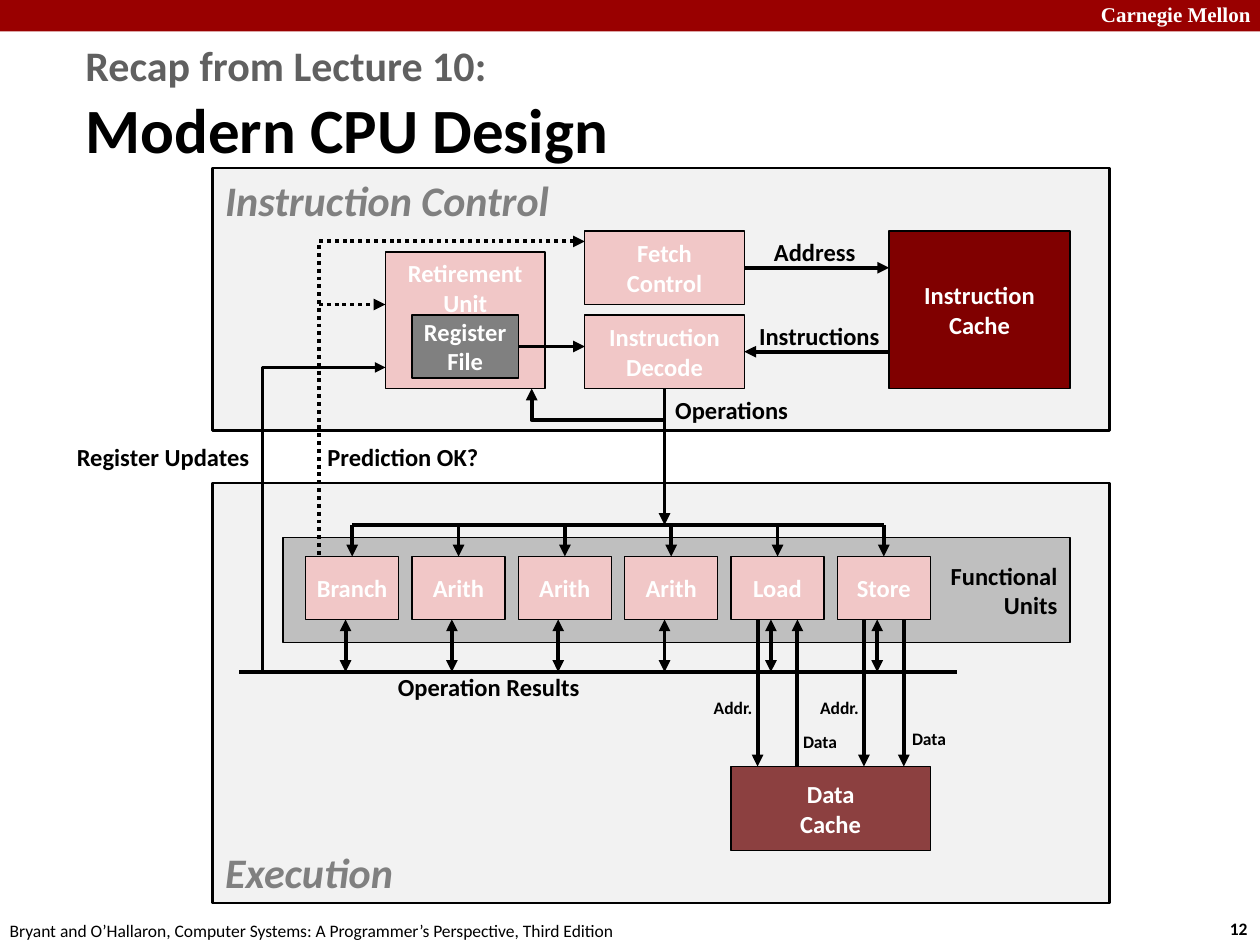
from lxml.etree import SubElement
from pptx import Presentation
from pptx.dml.color import RGBColor
from pptx.enum.dml import MSO_LINE as Dash
from pptx.enum.shapes import MSO_CONNECTOR as Conn, MSO_SHAPE as Kind
from pptx.enum.text import MSO_ANCHOR as Anchor, MSO_AUTO_SIZE as Auto, PP_ALIGN as Align
from pptx.oxml.ns import qn
from pptx.util import Inches, Pt

COL, ROW = 10 / 94.8, 7.5 / 90
PINK, PALE, BLACK, WHITE, GREY = "F1C7C7", "F2F2F2", "000000", "FFFFFF", "808080"
TOP, LEFT, BOTTOM, RIGHT = range(4)
LEAD = dict(align=Align.LEFT, color=GREY, size=24, italic=True, edge=1.5)


def hue(code):
    """Turn a hex string into a colour."""
    return RGBColor.from_string(code)


def spot(x, y):
    """Turn grid columns and rows into lengths."""
    return Inches(x * COL), Inches(y * ROW)


def style(run, color, **form):
    """Set the font of a run from format values."""
    form["size"] = Pt(form["size"])
    for key, value in form.items():
        setattr(run.font, key, value)
    run.font.color.rgb = hue(color)


def write(shape, text, align=Align.CENTER, anchor=Anchor.MIDDLE, wrap=False,
          color=WHITE, size=14, name="Calibri", bold=True, italic=False):
    """Fill a shape with one paragraph for each line of text."""
    frame = shape.text_frame
    for key, value in dict(word_wrap=wrap, vertical_anchor=anchor).items():
        setattr(frame, key, value)
    for i, line in enumerate(text.split("\n")):
        para = frame.paragraphs[0] if i == 0 else frame.add_paragraph()
        para.alignment = align
        run = para.add_run()
        run.text = line
        style(run, color, size=size, name=name, bold=bold, italic=italic)
    return frame


def box(slide, x, y, w, h, fill, text="", edge=0.75, **form):
    """Draw a filled rectangle with text."""
    shape = slide.shapes.add_shape(Kind.RECTANGLE, *spot(x, y), *spot(w, h))
    shape.shadow.inherit = False
    shape.fill.solid()
    shape.fill.fore_color.rgb = hue(fill)
    if edge:
        shape.line.color.rgb = hue(BLACK)
        shape.line.width = Pt(edge)
    else:
        shape.line.fill.background()
    if text:
        write(shape, text, **form)
    return shape


def label(slide, x, y, w, text, h=4, fit=True, **form):
    """Place a text box with no outline."""
    shape = slide.shapes.add_textbox(*spot(x, y), *spot(w, h))
    form = dict(color=BLACK, anchor=Anchor.TOP) | form
    frame = write(shape, text, **form)
    if fit:
        frame.auto_size = Auto.SHAPE_TO_FIT_TEXT
    return frame


def ink(shape, ends, width, dots):
    """Set the line, its arrowheads and its dots."""
    line = shape.line
    line.color.rgb = hue(BLACK)
    line.width = Pt(width)
    if dots:
        line.dash_style = Dash.ROUND_DOT
    for end in ends:
        SubElement(shape._element.spPr.find(qn("a:ln")), qn(f"a:{end}End"), type="triangle")


def link(slide, x1, y1, x2, y2, ends=("tail",), dots=False, start=None, stop=None):
    """Draw a straight line, joined to boxes where given."""
    wire = slide.shapes.add_connector(Conn.STRAIGHT, *spot(x1, y1), *spot(x2, y2))
    if start:
        wire.begin_connect(*start)
    if stop:
        wire.end_connect(*stop)
    ink(wire, ends, 2.25, dots)
    SubElement(wire._element.spPr, qn("a:effectLst"))


def bend(slide, points, end, width=2.25, dots=False):
    """Draw an open path through grid points."""
    first, *rest = [spot(*point) for point in points]
    pen = slide.shapes.build_freeform(*first)
    pen.add_line_segments(rest, close=False)
    shape = pen.convert_to_shape()
    shape.shadow.inherit = False
    shape.fill.background()
    ink(shape, (end,), width, dots)


def frame_page(slide):
    """Add the banner, title and footer."""
    box(slide, 0, 0, 94.8, 3, "990000", edge=0)
    label(slide, 81.9, -0.4, 13.6, "Carnegie Mellon", h=3.6, wrap=True,
          align=Align.LEFT, color=WHITE, size=12, name="Times New Roman")
    label(slide, 91.6, 86.8, 3.5, "12", h=3.2, align=Align.LEFT, size=10)
    label(slide, -0.2, 87, 48.2, "Bryant and O’Hallaron, Computer Systems: "
          "A Programmer’s Perspective, Third Edition", h=3.2,
          align=Align.LEFT, size=10, bold=False)
    title = label(slide, 5.5, 6, 87.7, "Recap from Lecture 10:", h=7.6, fit=False, wrap=True,
                  align=Align.LEFT, anchor=Anchor.MIDDLE, color="606060", size=24)
    para = title.paragraphs[0]
    para.add_line_break()
    run = para.add_run()
    run.text = "Modern CPU Design"
    style(run, BLACK, size=36, name="Calibri", bold=True)


def draw_control(slide):
    """Draw the instruction control half and return the decoder."""
    box(slide, 16, 16, 67.5, 25, PALE, "Instruction Control", anchor=Anchor.TOP, **LEAD)
    box(slide, 66.9, 22, 13.6, 15, "800000", "Instruction\nCache")
    fetch = box(slide, 44, 22, 12, 7, PINK, "Fetch\nControl")
    decode = box(slide, 44, 30, 12, 7, PINK, "Instruction\nDecode")
    box(slide, 29, 24, 12, 13, PINK, "Retirement\nUnit", anchor=Anchor.TOP)
    file = box(slide, 31, 30, 8, 6, GREY, "Register\nFile")
    link(slide, 56, 25.5, 66.9, 25.5, start=(fetch, RIGHT))
    link(slide, 66.9, 33.5, 56, 33.5, stop=(decode, RIGHT))
    link(slide, 39, 33, 44, 33, start=(file, RIGHT))
    label(slide, 57.2, 22, 8.2, "Address")
    label(slide, 56.1, 30, 11.1, "Instructions")
    label(slide, 49.8, 37, 10.5, "Operations")
    return decode


def draw_units(slide):
    """Draw the execution half with its row of units."""
    box(slide, 16, 46, 67.5, 40, PALE, "Execution", anchor=Anchor.BOTTOM, **LEAD)
    box(slide, 21.3, 51.2, 59.2, 10, "BFBFBF", "Functional\nUnits",
        align=Align.RIGHT, color=BLACK)
    box(slide, 55, 73, 15, 8, "8C4040", "Data\nCache")
    for i, text in enumerate("Branch Arith Arith Arith Load Store".split()):
        x = 23 + 8 * i
        unit = box(slide, x, 53, 7, 6, PINK, text)
        link(slide, x + 3.5, 50, x + 3.5, 53, stop=(unit, TOP))
        link(slide, x + 3, 59, x + 3, 64, ends=("head", "tail"))
    link(slide, 26.5, 50, 66.5, 50, ends=())
    link(slide, 18, 64, 72, 64, ends=())
    label(slide, 29, 63.4, 15.7, "Operation Results", align=Align.LEFT)


def draw_data(slide):
    """Draw the load and store lines to the data cache."""
    for x in (57, 65):
        link(slide, x, 59, x, 73)
        label(slide, x - 4.3, 65.8, 4.9, "Addr.", h=3.2, size=10)
    link(slide, 60, 73, 60, 59)
    link(slide, 68, 59, 68, 73)
    for x, y in ((59.4, 69), (67.6, 68.7)):
        label(slide, x, y, 4.6, "Data", h=3.2, size=10)


def draw_paths(slide, decode):
    """Draw the paths that run between the two halves."""
    link(slide, 50, 37, 50, 50, start=(decode, BOTTOM))
    bend(slide, [(50, 40), (40, 40), (40, 37)], "tail")
    bend(slide, [(44, 23), (24, 23), (24, 53)], "head", dots=True)
    link(slide, 24, 29, 29, 29, dots=True)
    bend(slide, [(29, 35), (19.75, 35), (19.75, 64)], "head", width=1.5)
    label(slide, 23.7, 41.5, 13.4, "Prediction OK?", align=Align.LEFT)
    label(slide, 4.7, 41.5, 15, "Register Updates", align=Align.RIGHT)


def main():
    """Build the slide and save it."""
    deck = Presentation()
    deck.slide_width, deck.slide_height = Inches(10), Inches(7.5)
    slide = deck.slides.add_slide(deck.slide_layouts[6])
    frame_page(slide)
    draw_units(slide)
    decode = draw_control(slide)
    draw_data(slide)
    draw_paths(slide, decode)
    deck.save("out.pptx")


if __name__ == "__main__":
    main()
